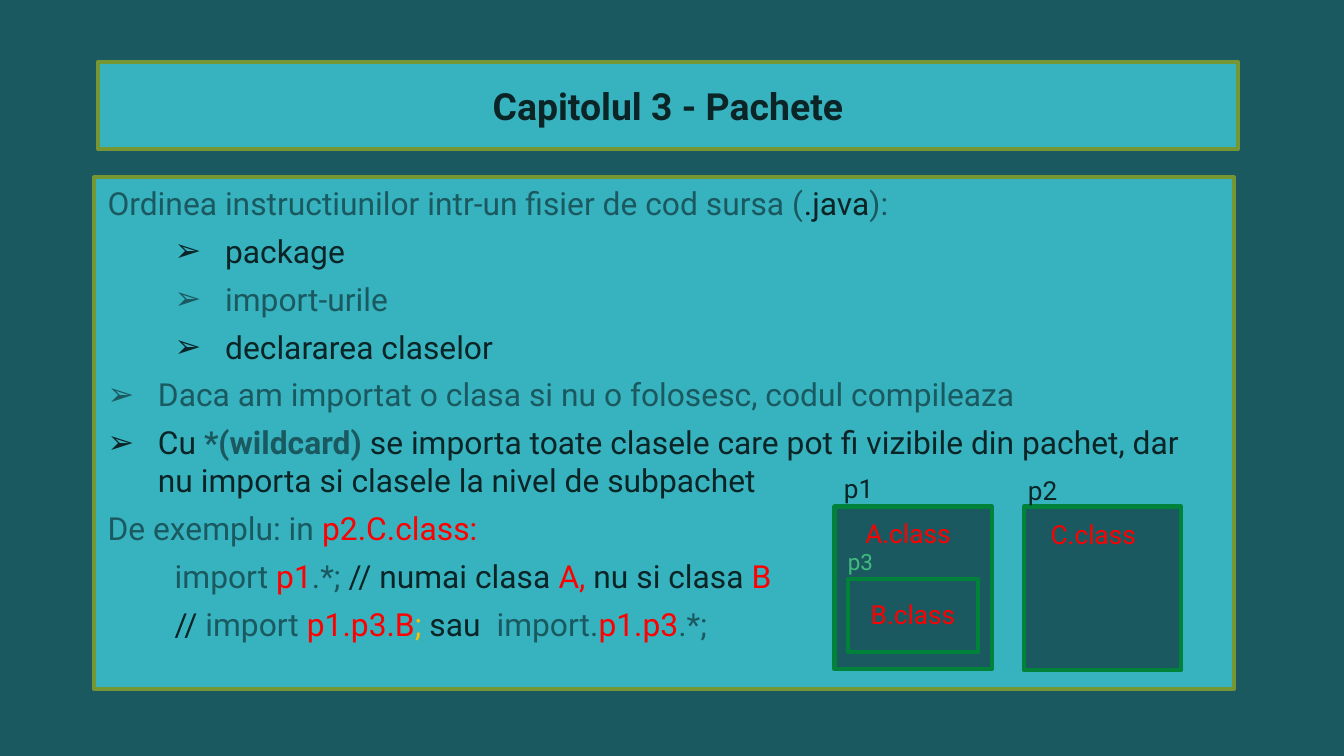
from dataclasses import dataclass

import pptx
import pptx.dml.color
import pptx.enum.shapes
import pptx.enum.text
import pptx.oxml.ns
import pptx.util
from lxml import etree

Pt = pptx.util.Pt
qn = pptx.oxml.ns.qn


@dataclass(frozen=True)
class Theme:
    font: str = "Roboto"
    teal: str = "1B5960"
    panel: str = "37B2BF"
    olive: str = "769634"
    green: str = "00823B"
    mint: str = "40BD7E"
    dark: str = "0B2426"
    red: str = "FF0000"
    amber: str = "FFC000"
    title_size: int = 20
    body_size: int = 17
    label_size: int = 14
    small_size: int = 12


T = Theme()

# Paragraph kinds: level, left margin, first-line indent, bullet
PLAIN = (0, 0, 0, None)
BULLET = (0, 27, -27, "➢")
SUB_BULLET = (1, 63, -27, "➢")
CODE = (1, 36, 0, None)

BODY = [
    (PLAIN, [("Ordinea instructiunilor intr-un fisier de cod sursa (", T.teal),
             (".java", T.dark), ("):", T.teal)]),
    (SUB_BULLET, [("package", T.dark)]),
    (SUB_BULLET, [("import-urile", T.teal)]),
    (SUB_BULLET, [("declararea claselor", T.dark)]),
    (BULLET, [("Daca am importat o clasa si nu o folosesc, codul compileaza", T.teal)]),
    (BULLET, [("Cu ", T.dark), ("*(wildcard) ", T.teal, True),
              ("se importa toate clasele care pot fi vizibile din pachet, "
               "dar nu importa si clasele la nivel de subpachet", T.dark)]),
    (PLAIN, [("De exemplu: in ", T.teal), ("p2.C.class:", T.red)]),
    (CODE, [("import ", T.teal), ("p1", T.red), (".*; ", T.teal),
            ("// numai clasa ", T.dark), ("A, ", T.red),
            ("nu si clasa ", T.dark), ("B", T.red)]),
    (CODE, [("// ", T.dark), ("import ", T.teal), ("p1.p3.B", T.red),
            ("; ", T.amber), ("sau  ", T.dark), ("import.", T.teal),
            ("p1.p3", T.red), (".*;", T.teal)]),
]


def rgb(color):
    return pptx.dml.color.RGBColor.from_string(color)


def paint(sp, fill, line, width):
    sp.fill.solid()
    sp.fill.fore_color.rgb = rgb(fill)
    sp.line.color.rgb = rgb(line)
    sp.line.width = Pt(width)


def add_run(p, text, size, color, bold=False):
    r = p.add_run()
    r.text = text
    r.font.name = T.font
    r.font.size = Pt(size)
    r.font.bold = bold
    r.font.color.rgb = rgb(color)


def place_panel(sp, box, geometry):
    """Move a placeholder and give it an outline shape, fill and border."""
    sp.left, sp.top, sp.width, sp.height = map(Pt, box)
    geom = etree.SubElement(sp.element.spPr, qn("a:prstGeom"), prst=geometry)
    etree.SubElement(geom, qn("a:avLst"))
    paint(sp, T.panel, T.olive, 2)
    tf = sp.text_frame
    tf.word_wrap = True
    tf.auto_size = pptx.enum.text.MSO_AUTO_SIZE.NONE
    return tf


def format_paragraph(p, kind):
    level, margin, indent, bullet = kind
    p.level = level
    p.line_spacing = 1.0
    p.space_before = Pt(0)
    p.space_after = Pt(5.2)
    pPr = p._p.get_or_add_pPr()
    pPr.set("marL", str(Pt(margin)))
    pPr.set("indent", str(Pt(indent)))
    if bullet:
        etree.SubElement(pPr, qn("a:buChar"), char=bullet)
    else:
        etree.SubElement(pPr, qn("a:buNone"))


def add_title(s):
    tf = place_panel(s.shapes.title, (52.6, 33.1, 610.6, 46.8), "roundRect")
    tf.vertical_anchor = pptx.enum.text.MSO_ANCHOR.MIDDLE
    p = tf.paragraphs[0]
    p.alignment = pptx.enum.text.PP_ALIGN.CENTER
    add_run(p, "Capitolul 3 - Pachete", T.title_size, T.dark, True)


def add_body(s):
    tf = place_panel(s.placeholders[1], (50.4, 95, 610.6, 274.3), "rect")
    tf.vertical_anchor = pptx.enum.text.MSO_ANCHOR.TOP
    for i, (kind, runs) in enumerate(BODY):
        p = tf.add_paragraph() if i else tf.paragraphs[0]
        format_paragraph(p, kind)
        for text, color, *bold in runs:
            add_run(p, text, T.body_size, color, bool(bold))


def add_package(s, *box):
    sp = s.shapes.add_shape(pptx.enum.shapes.MSO_SHAPE.RECTANGLE, *map(Pt, box))
    sp.shadow.inherit = False
    paint(sp, T.teal, T.green, 2.25)


def add_label(s, text, color, x, y, w, h=24.5, size=T.label_size):
    tf = s.shapes.add_textbox(*map(Pt, (x, y, w, h))).text_frame
    tf.word_wrap = True
    tf.auto_size = pptx.enum.text.MSO_AUTO_SIZE.SHAPE_TO_FIT_TEXT
    add_run(tf.paragraphs[0], text, size, color)


def main():
    prs = pptx.Presentation()
    prs.slide_width, prs.slide_height = Pt(720), Pt(405)
    s = prs.slides.add_slide(prs.slide_layouts[1])
    s.background.fill.solid()
    s.background.fill.fore_color.rgb = rgb(T.teal)

    # Title and explanation
    add_title(s)
    add_body(s)

    # Package p2 with class C
    add_package(s, 548.6, 271.4, 84.2, 87.8)
    add_label(s, "p2", T.dark, 543.6, 250.6, 37.4)
    add_label(s, "C.class", T.red, 555.8, 274.3, 67)

    # Package p1 with class A
    add_package(s, 447.1, 271.4, 84.2, 87.1)
    add_label(s, "p1", T.dark, 445, 249.8, 41)
    add_label(s, "A.class", T.red, 456.5, 273.6, 67)

    # Subpackage p3 with class B, inside p1
    add_package(s, 454.3, 310.3, 69.8, 38.9)
    add_label(s, "p3", T.mint, 447.1, 290.2, 30.2, 19.4, T.small_size)
    add_label(s, "B.class", T.red, 459.4, 316.8, 67)

    prs.save("out.pptx")


if __name__ == "__main__":
    main()
